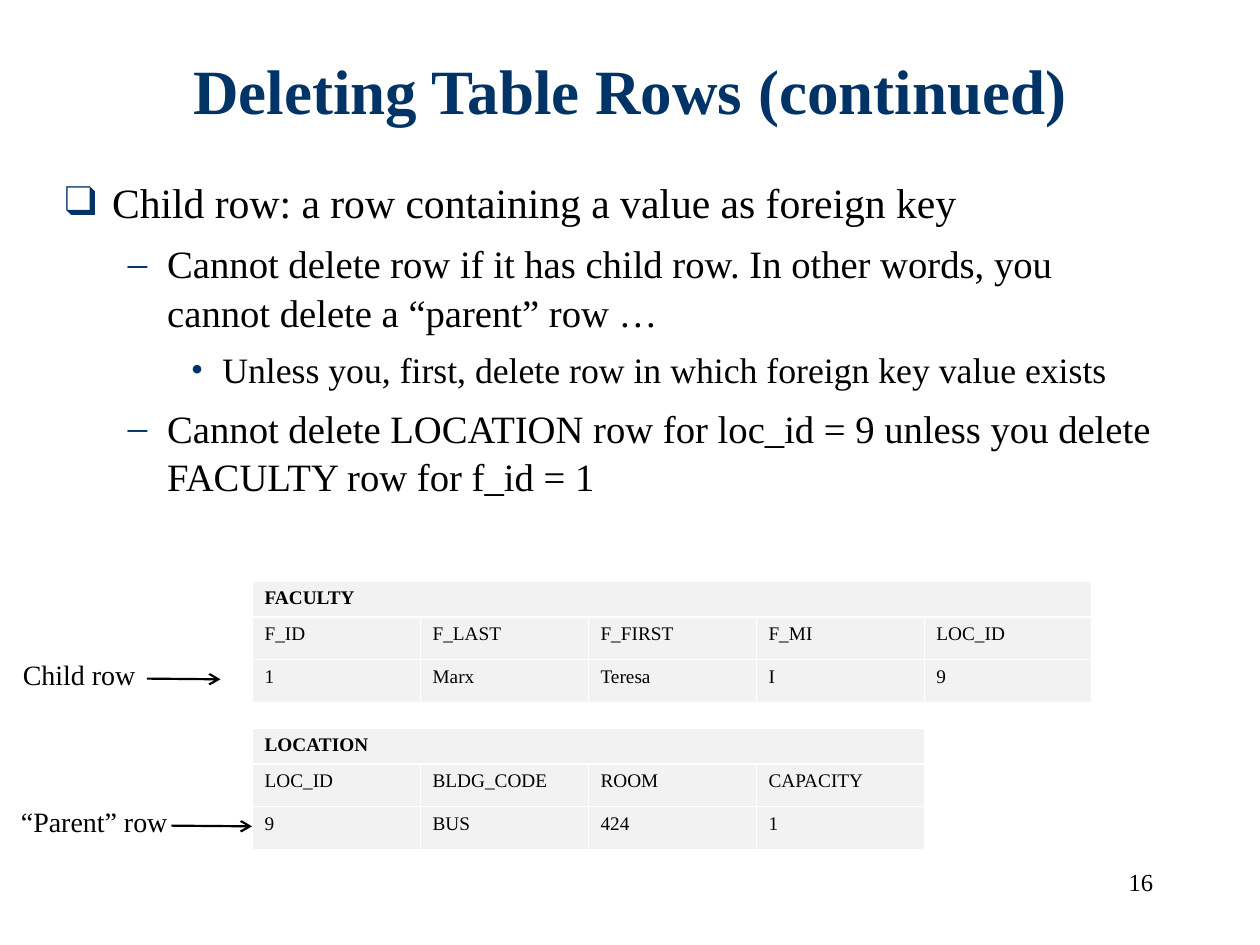
from lxml.etree import SubElement
from pptx import Presentation
from pptx.dml.color import RGBColor
from pptx.enum.shapes import MSO_CONNECTOR as Connector
from pptx.enum.text import MSO_ANCHOR as Anchor, PP_ALIGN as Align
from pptx.oxml import parse_xml
from pptx.oxml.ns import nsdecls, qn
from pptx.util import Pt

COLORS = {"navy": "003366", "black": "000000", "cell": "F2F2F2", "white": "FFFFFF"}
FONT = "Times New Roman"

deck = Presentation()
deck.slide_width, deck.slide_height = Pt(720), Pt(540)
page = deck.slides.add_slide(deck.slide_layouts[6])


def write(para, text, size, color="black", bold=False):
    para.text = text
    font = para.runs[0].font
    font.name, font.size, font.bold = FONT, Pt(size), bold
    font.color.rgb = RGBColor.from_string(COLORS[color])


def add_box(left, top, width, height, side=7.2):
    frame = page.shapes.add_textbox(Pt(left), Pt(top), Pt(width), Pt(height)).text_frame
    frame.word_wrap = True
    frame.margin_left = frame.margin_right = Pt(side)
    return frame


number = add_box(516, 492, 150, 36).paragraphs[0]
write(number, "16", 14)
number.alignment = Align.RIGHT

title = add_box(54, 24, 612, 54)
title.vertical_anchor = Anchor.MIDDLE
write(title.paragraphs[0], "Deleting Table Rows (continued)", 36, "navy", True)
title.paragraphs[0].alignment = Align.CENTER

LEVELS = [("❑", 27, 27, 23.8, 0), ("–", 58.5, 22.5, 22.1, 6.5), ("•", 90, 18, 20.4, 6)]
POINTS = [
    (0, "Child row: a row containing a value as foreign key"),
    (1, "Cannot delete row if it has child row. In other words, you cannot delete a “parent” row …"),
    (2, "Unless you, first, delete row in which foreign key value exists"),
    (1, "Cannot delete LOCATION row for loc_id = 9 unless you delete FACULTY row for f_id = 1"),
]
body = add_box(30, 96, 642, 210)
for index, (level, text) in enumerate(POINTS):
    bullet, margin, hang, size, before = LEVELS[level]
    para = body.paragraphs[0] if index == 0 else body.add_paragraph()
    para.level = level
    para.line_spacing = 1.05
    para.space_before = Pt(before)
    props = para._p.get_or_add_pPr()
    props.set("marL", str(Pt(margin)))
    props.set("indent", str(-Pt(hang)))
    bullet_color = SubElement(props, qn("a:buClr"))
    SubElement(bullet_color, qn("a:srgbClr"), val=COLORS["navy"])
    SubElement(props, qn("a:buFont"), typeface=FONT)
    SubElement(props, qn("a:buChar"), char=bullet)
    write(para, text, size)

TABLES = [
    (332, "FACULTY", ["F_ID", "F_LAST", "F_FIRST", "F_MI", "LOC_ID"], ["1", "Marx", "Teresa", "I", "9"]),
    (416, "LOCATION", ["LOC_ID", "BLDG_CODE", "ROOM", "CAPACITY"], ["9", "BUS", "424", "1"]),
]
ROW_HEIGHTS = [20.4, 24.6, 24.6]
THIN, THICK = 0.45, 1.47
for top, name, headings, values in TABLES:
    count = len(headings)
    table = page.shapes.add_table(3, count, Pt(144), Pt(top), Pt(96 * count), Pt(sum(ROW_HEIGHTS))).table
    table.first_row = table.horz_banding = False
    for column in table.columns:
        column.width = Pt(96)
    rows = [[name] + [""] * (count - 1), headings, values]
    for row, (height, texts) in enumerate(zip(ROW_HEIGHTS, rows)):
        table.rows[row].height = Pt(height)
        for col, text in enumerate(texts):
            cell = table.cell(row, col)
            cell.fill.solid()
            cell.fill.fore_color.rgb = RGBColor.from_string(COLORS["cell"])
            if text:
                write(cell.text_frame.paragraphs[0], text, 11, bold=row == 0)
            edges = {"L": THIN, "R": THIN, "T": THICK if row == 1 else THIN, "B": THICK if row == 0 else THIN}
            for place, (side, width) in enumerate(edges.items()):
                border = parse_xml(
                    f'<a:ln{side} {nsdecls("a")} w="{Pt(width)}"><a:solidFill>'
                    f'<a:srgbClr val="{COLORS["white"]}"/></a:solidFill></a:ln{side}>'
                )
                cell._tc.get_or_add_tcPr().insert(place, border)
    table.cell(0, 0).merge(table.cell(0, count - 1))

LABELS = [
    ("Child row", 6, 372.2, 7.2, (84, 387.8, 126, 388.2)),
    ("“Parent” row", 12, 456, 0, (98, 471.8, 144, 472.2)),
]
for text, left, top, side, ends in LABELS:
    label = add_box(left, top, 96, 26.6, side)
    write(label.paragraphs[0], text, 16)
    arrow = page.shapes.add_connector(Connector.STRAIGHT, *map(Pt, ends))
    arrow.line.width = Pt(1.25)
    arrow.line.color.rgb = RGBColor.from_string(COLORS["black"])
    SubElement(arrow.line._get_or_add_ln(), qn("a:tailEnd"), type="arrow")
    SubElement(arrow._element.spPr, qn("a:effectLst"))

deck.save("out.pptx")
